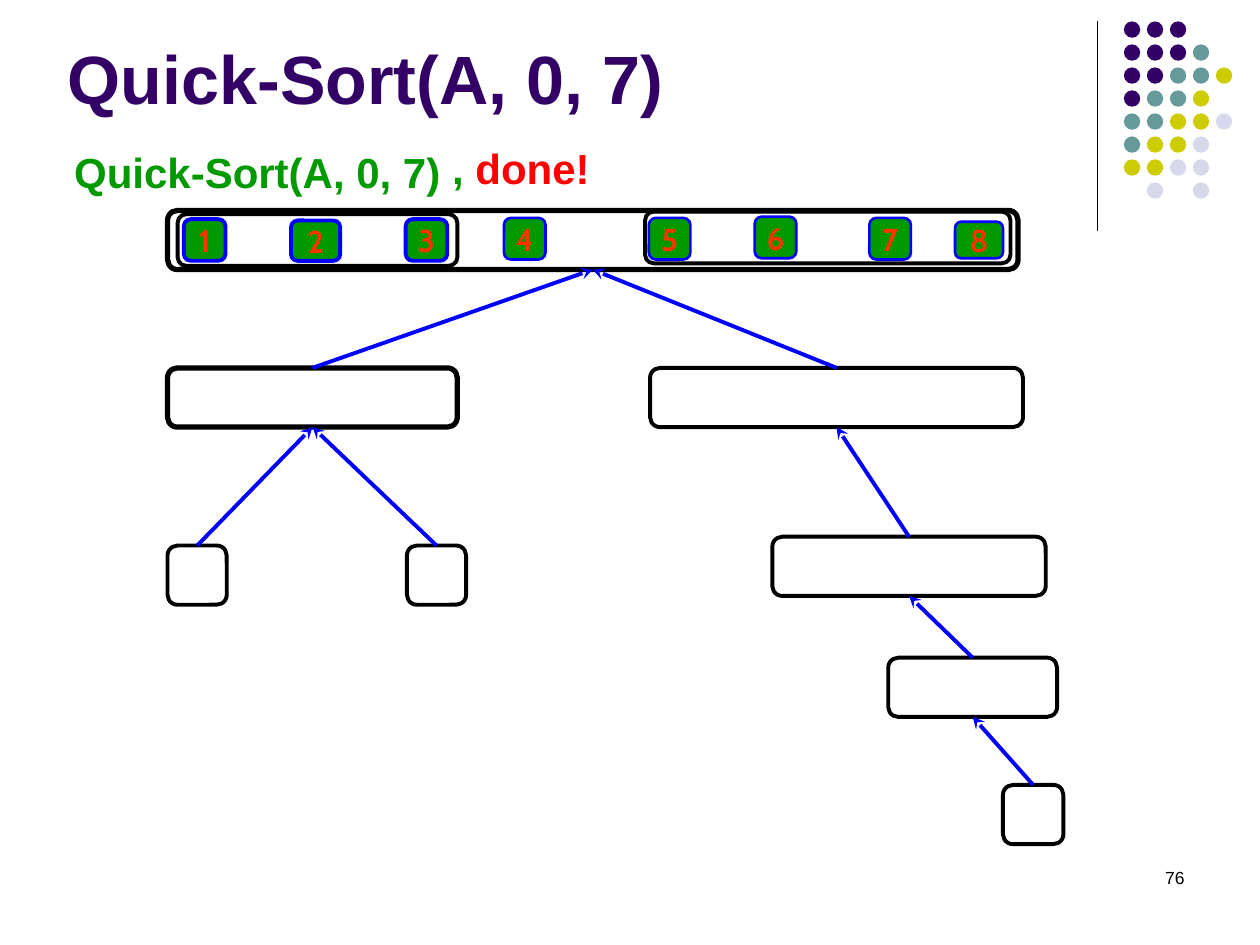
"""Build the slide showing the finished quick-sort recursion tree."""
from lxml import etree
from pptx import Presentation
from pptx import util as u
from pptx.dml import color
from pptx.enum import shapes, text
from pptx.oxml import ns


class Theme:
    font = "Arial"
    key_font = "Cabin"
    black = color.RGBColor.from_string("000000")
    purple = color.RGBColor.from_string("330066")
    teal = color.RGBColor.from_string("669999")
    olive = color.RGBColor.from_string("CCCC00")
    lavender = color.RGBColor.from_string("D8D8EC")
    green = color.RGBColor.from_string("009900")
    blue = color.RGBColor.from_string("0000FF")
    red = color.RGBColor.from_string("FF0000")
    orange = color.RGBColor.from_string("FF3300")
    title_size = u.Pt(39)
    heading_size = u.Pt(24)
    key_size = u.Pt(18)
    number_size = u.Pt(10)


def add_box(left, top, width, height, line_color, weight, fill=None):
    shape = slide.shapes.add_shape(
        shapes.MSO_SHAPE.ROUNDED_RECTANGLE,
        u.Inches(left), u.Inches(top), u.Inches(width), u.Inches(height))
    shape.shadow.inherit = False
    shape.line.color.rgb = line_color
    shape.line.width = u.Pt(weight)
    if fill is None:
        shape.fill.background()
    else:
        shape.fill.solid()
        shape.fill.fore_color.rgb = fill
    return shape


def write(shape, runs, size, font=Theme.font, bold=True, wrap=True):
    shape.text_frame.word_wrap = wrap
    paragraph = shape.text_frame.paragraphs[0]
    for words, rgb in runs:
        run = paragraph.add_run()
        run.text = words
        run.font.name = font
        run.font.size = size
        run.font.bold = bold
        run.font.color.rgb = rgb
    return paragraph


presentation = Presentation()
presentation.slide_width = u.Inches(10)
presentation.slide_height = u.Inches(7.5)
slide = presentation.slides.add_slide(presentation.slide_layouts[6])

divider = slide.shapes.add_connector(
    shapes.MSO_CONNECTOR.STRAIGHT,
    u.Inches(8.71), u.Inches(0.17), u.Inches(8.71), u.Inches(1.83))
divider.line.color.rgb = Theme.black
divider.line.width = u.Pt(0.75)
etree.SubElement(divider._element.spPr, ns.qn("a:effectLst"))

dot_colors = {"P": Theme.purple, "T": Theme.teal,
              "O": Theme.olive, "L": Theme.lavender}
dot_rows = ["PPP", "PPPT", "PPTTO", "PTTO", "TTOOL", "TOOL", "OOLL", " L L"]
dot_pitch = u.Inches(0.73) / 4
dot_size = u.Inches(0.13)
for row, codes in enumerate(dot_rows):
    for column, code in enumerate(codes):
        if code in dot_colors:
            dot = slide.shapes.add_shape(
                shapes.MSO_SHAPE.OVAL,
                int(u.Inches(8.92) + column * dot_pitch),
                int(u.Inches(0.17) + row * dot_pitch), dot_size, dot_size)
            dot.shadow.inherit = False
            dot.fill.solid()
            dot.fill.fore_color.rgb = dot_colors[code]
            dot.line.fill.background()

nodes = {}
for name, left, top, width, weight in [
    ("root", 1.33, 1.67, 6.75, 3),
    ("left", 1.33, 2.92, 2.3, 3),
    ("right", 5.16, 2.92, 2.96, 2.25),
    ("left first", 1.33, 4.33, 0.47, 2.25),
    ("left last", 3.23, 4.33, 0.47, 2.25),
    ("last three", 6.13, 4.26, 2.17, 2.25),
    ("last two", 7.05, 5.22, 1.34, 2.25),
    ("last one", 7.96, 6.23, 0.48, 2.25),
]:
    nodes[name] = add_box(left, top, width, 0.47, Theme.black, weight)

for child, parent in [
    ("left", "root"), ("right", "root"),
    ("left first", "left"), ("left last", "left"),
    ("last three", "right"), ("last two", "last three"),
    ("last one", "last two"),
]:
    arrow = slide.shapes.add_connector(shapes.MSO_CONNECTOR.STRAIGHT, 0, 0, 0, 0)
    arrow.begin_connect(nodes[child], 0)
    arrow.end_connect(nodes[parent], 2)
    arrow.line.color.rgb = Theme.blue
    arrow.line.width = u.Pt(2.25)
    properties = arrow._element.spPr
    etree.SubElement(properties.find(ns.qn("a:ln")), ns.qn("a:tailEnd"), type="stealth")
    etree.SubElement(properties, ns.qn("a:effectLst"))

for key, left, top, width, height, weight in [
    ("1", 1.46, 1.74, 0.33, 0.33, 2.25),
    ("2", 2.31, 1.75, 0.39, 0.32, 2.25),
    ("3", 3.22, 1.74, 0.33, 0.33, 2.25),
    ("4", 4, 1.73, 0.33, 0.33, 1.5),
    ("5", 5.15, 1.73, 0.33, 0.33, 1.5),
    ("6", 5.99, 1.72, 0.33, 0.33, 1.5),
    ("7", 6.9, 1.73, 0.33, 0.33, 1.5),
    ("8", 7.58, 1.76, 0.38, 0.29, 1.5),
]:
    cell = add_box(left, top, width, height, Theme.blue, weight, Theme.green)
    cell.text_frame.vertical_anchor = text.MSO_ANCHOR.MIDDLE
    paragraph = write(cell, [(key, Theme.orange)], Theme.key_size,
                      Theme.key_font, wrap=False)
    paragraph.alignment = text.PP_ALIGN.CENTER

add_box(1.41, 1.7, 2.22, 0.41, Theme.black, 2.25)
add_box(5.12, 1.68, 2.9, 0.41, Theme.black, 2.25)

title = slide.shapes.add_textbox(
    u.Inches(0.44), u.Inches(0.35), u.Inches(8.25), u.Inches(0.64))
title.text_frame.vertical_anchor = text.MSO_ANCHOR.BOTTOM
write(title, [("Quick-Sort(A, 0, 7)", Theme.purple)], Theme.title_size)

for left, top, width, runs in [
    (0.49, 1.11, 3.35, [("Quick-Sort(A, 0, 7)", Theme.green)]),
    (3.49, 1.08, 2.44, [(", ", Theme.green), ("done!", Theme.red)]),
]:
    heading = slide.shapes.add_textbox(
        u.Inches(left), u.Inches(top), u.Inches(width), u.Inches(0.5))
    paragraph = write(heading, runs, Theme.heading_size)
    paragraph.space_before = u.Pt(15)

number = slide.shapes.add_textbox(
    u.Inches(7.17), u.Inches(6.83), u.Inches(2.33), u.Inches(0.5))
paragraph = write(number, [("76", Theme.black)], Theme.number_size, bold=False)
paragraph.alignment = text.PP_ALIGN.RIGHT

presentation.save("out.pptx")
